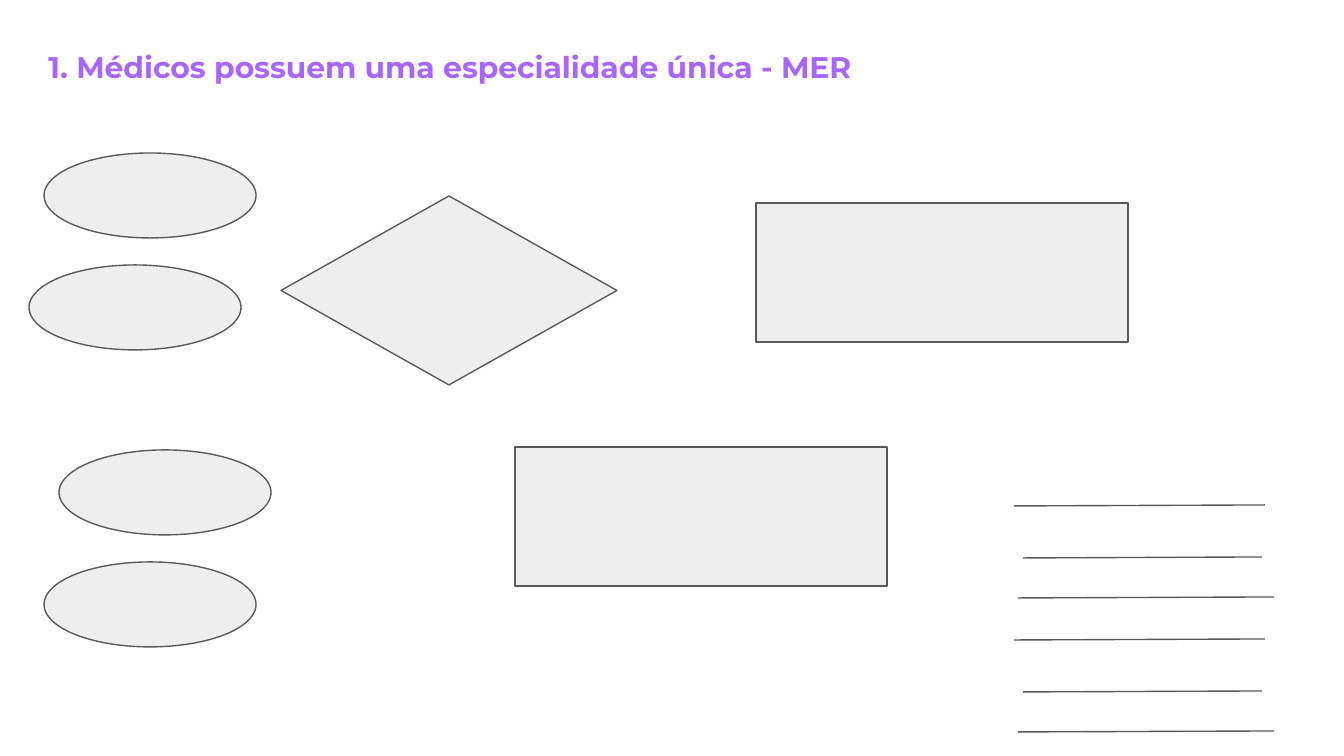
from pptx import Presentation
from pptx.dml.color import RGBColor
from pptx.enum.shapes import MSO_CONNECTOR as Connector, MSO_SHAPE as Shape
from pptx.enum.text import MSO_ANCHOR as Anchor, MSO_AUTO_SIZE as AutoSize, PP_ALIGN as Align
from pptx.oxml.ns import qn
from pptx.util import Emu, Pt
from lxml.etree import SubElement

PURPLE = RGBColor(0xA8, 0x66, 0xFF)
LIGHT_GRAY = RGBColor(0xEE, 0xEE, 0xEE)
DARK_GRAY = RGBColor(0x59, 0x59, 0x59)

SLIDE_WIDTH, SLIDE_HEIGHT = 1344, 756
EMU_PER_PX = 9144000 / SLIDE_WIDTH

ENTITY_SIZE = (372, 139)
ATTRIBUTE_SIZE = (212, 85)
ATTRIBUTE_STEP = (-15, 112)
LINE_GROUP_STEP = 134


def px(value):
    return Emu(round(value * EMU_PER_PX))


def set_format(target, values):
    for name, value in values.items():
        setattr(target, name, value)


def style_line(line):
    line.color.rgb = DARK_GRAY
    line.width = Pt(0.75)


def add_title(page, text, left, top, width, height):
    title = page.shapes.title
    set_format(title, {"left": px(left), "top": px(top),
                       "width": px(width), "height": px(height)})
    frame = title.text_frame
    frame.text = text
    set_format(frame, {"word_wrap": True, "vertical_anchor": Anchor.TOP,
                       "auto_size": AutoSize.SHAPE_TO_FIT_TEXT})
    for side in ("left", "top", "right", "bottom"):
        setattr(frame, f"margin_{side}", Pt(7.2))
    para = frame.paragraphs[0]
    set_format(para, {"alignment": Align.LEFT, "line_spacing": 1.0, "space_before": Pt(0)})
    font = para.runs[0].font
    set_format(font, {"name": "Montserrat", "size": Pt(16), "bold": True})
    font.color.rgb = PURPLE


def add_node(page, kind, left, top, size):
    node = page.shapes.add_shape(kind, px(left), px(top), *map(px, size))
    node.shadow.inherit = False
    node.fill.solid()
    node.fill.fore_color.rgb = LIGHT_GRAY
    style_line(node.line)


def add_attribute_pair(page, left, top):
    step_x, step_y = ATTRIBUTE_STEP
    for index in range(2):
        add_node(page, Shape.OVAL, left + index * step_x, top + index * step_y, ATTRIBUTE_SIZE)


def add_loose_line(page, left, right, top):
    line = page.shapes.add_connector(
        Connector.STRAIGHT, px(left), px(top + 1), px(right), px(top))
    SubElement(line._element.spPr, qn("a:effectLst"))
    style_line(line.line)


def main():
    deck = Presentation()
    deck.slide_width, deck.slide_height = px(SLIDE_WIDTH), px(SLIDE_HEIGHT)
    page = deck.slides.add_slide(deck.slide_layouts[5])

    add_title(page, "1. Médicos possuem uma especialidade única - MER", 35, 35, 1161, 63)
    add_node(page, Shape.DIAMOND, 281, 196, (336, 189))
    for left, top in ((756, 203), (515, 447)):
        add_node(page, Shape.RECTANGLE, left, top, ENTITY_SIZE)
    for left, top in ((59, 450), (44, 153)):
        add_attribute_pair(page, left, top)
    for group in range(2):
        for left, right, top in ((1014, 1265, 505), (1023, 1262, 557), (1018, 1274, 597)):
            add_loose_line(page, left, right, top + group * LINE_GROUP_STEP)

    deck.save("out.pptx")


if __name__ == "__main__":
    main()
